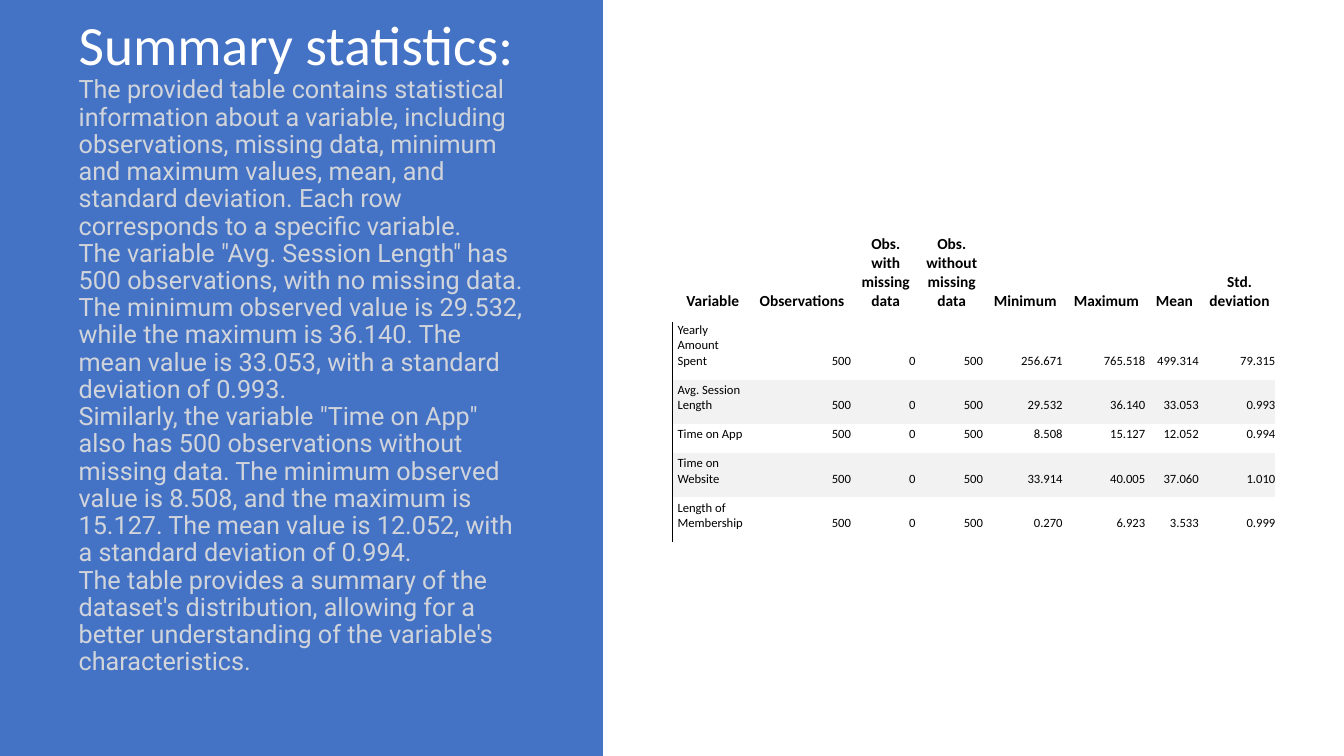
from dataclasses import dataclass
from lxml.etree import SubElement
from pptx import Presentation
from pptx.dml.color import RGBColor as RGB
from pptx.enum.shapes import MSO_SHAPE as SHAPE
from pptx.enum.text import MSO_ANCHOR as ANCHOR, MSO_AUTO_SIZE as AUTO, PP_ALIGN as ALIGN
from pptx.oxml.ns import qn
from pptx.util import Inches, Pt


@dataclass(frozen=True)
class Theme:
    blue: RGB = RGB(0x44, 0x72, 0xC4)
    white: RGB = RGB(0xFF, 0xFF, 0xFF)
    pale: RGB = RGB(0xD1, 0xD5, 0xDB)
    black: RGB = RGB(0, 0, 0)
    band: RGB = RGB(0xF2, 0xF2, 0xF2)
    heading: float = 39.6
    body: float = 18
    header: float = 11
    cell: float = 9
    main: str = "Calibri"
    prose: str = "Roboto"


theme = Theme()


def add_text(paragraph, text, size, font, color, bold=False):
    run = paragraph.add_run()
    run.text = text
    run.font.size = Pt(size)
    run.font.name = font
    run.font.color.rgb = color
    run.font.bold = bold


deck = Presentation()
deck.slide_width, deck.slide_height = Inches(13.33), Inches(7.5)
slide = deck.slides.add_slide(deck.slide_layouts[5])

summary = slide.shapes.title
panel = slide.shapes.add_shape(SHAPE.RECTANGLE, 0, 0, Inches(5.98), Inches(7.5))
panel.shadow.inherit = False
panel.fill.solid()
panel.fill.fore_color.rgb = theme.blue
panel.line.fill.background()
summary._element.addprevious(panel._element)

summary.left, summary.top = Inches(0.68), Inches(0.7)
summary.width, summary.height = Inches(4.62), Inches(6.1)
frame = summary.text_frame
frame.word_wrap = True
frame.auto_size = AUTO.NONE
frame.vertical_anchor = ANCHOR.MIDDLE
frame.margin_bottom = Inches(0.67)
story = frame.paragraphs[0]
story.alignment = ALIGN.LEFT
story.line_spacing = 0.9
add_text(story, "Summary statistics: ", theme.heading, theme.main, theme.white)

passages = [
    "The provided table contains statistical information about a variable, including observations, "
    "missing data, minimum and maximum values, mean, and standard deviation. "
    "Each row corresponds to a specific variable.",
    'The variable "Avg. Session Length" has 500 observations, with no missing data. '
    "The minimum observed value is 29.532, while the maximum is 36.140. "
    "The mean value is 33.053, with a standard deviation of 0.993.",
    'Similarly, the variable "Time on App" also has 500 observations without missing data. '
    "The minimum observed value is 8.508, and the maximum is 15.127. "
    "The mean value is 12.052, with a standard deviation of 0.994.",
    "The table provides a summary of the dataset's distribution, allowing for a better "
    "understanding of the variable's characteristics.",
]
for index, passage in enumerate(passages):
    if index:
        story.add_line_break()
    add_text(story, passage, theme.body, theme.prose, theme.pale)

statistics = [
    ("Variable", "Observations", "Obs. with missing data", "Obs. without missing data",
     "Minimum", "Maximum", "Mean", "Std. deviation"),
    ("Yearly Amount Spent", "500", "0", "500", "256.671", "765.518", "499.314", "79.315"),
    ("Avg. Session Length", "500", "0", "500", "29.532", "36.140", "33.053", "0.993"),
    ("Time on App", "500", "0", "500", "8.508", "15.127", "12.052", "0.994"),
    ("Time on Website", "500", "0", "500", "33.914", "40.005", "37.060", "1.010"),
    ("Length of Membership", "500", "0", "500", "0.270", "6.923", "3.533", "0.999"),
]
widths = [0.75, 1.02, 0.64, 0.67, 0.79, 0.82, 0.53, 0.76]
heights = [0.92, 0.44, 0.44, 0.29, 0.44, 0.44]
table = slide.shapes.add_table(
    len(heights), len(widths), Inches(6.67), Inches(2.27), Inches(5.97), Inches(3.1)
).table
table.first_row = table.horz_banding = False
table._tbl.tblPr.find(qn("a:tableStyleId")).text = "{2D5ABB26-0587-4C30-8999-92F81FD0307C}"
for column, width in zip(table.columns, widths):
    column.width = Inches(width)
for row, height in zip(table.rows, heights):
    row.height = Inches(height)

for r, values in enumerate(statistics):
    for c, value in enumerate(values):
        cell = table.cell(r, c)
        cell.vertical_anchor = ANCHOR.BOTTOM
        cell.margin_left, cell.margin_top = Inches(0.05), Inches(0.01)
        cell.margin_right, cell.margin_bottom = 0, Inches(0.11)
        if r and r % 2 == 0:
            cell.fill.solid()
            cell.fill.fore_color.rgb = theme.band
        else:
            cell.fill.background()
        entry = cell.text_frame.paragraphs[0]
        if r == 0:
            entry.alignment = ALIGN.CENTER
        else:
            entry.alignment = ALIGN.RIGHT if c else ALIGN.LEFT
        size = theme.cell if r else theme.header
        add_text(entry, value, size, theme.main, theme.black, bold=r == 0)
        if r and c == 0:
            properties = cell._tc.get_or_add_tcPr()
            edge = SubElement(properties, qn("a:lnL"), w=str(Pt(0.75)))
            ink = SubElement(edge, qn("a:solidFill"))
            SubElement(ink, qn("a:srgbClr"), val=str(theme.black))
            properties.insert(0, edge)

deck.save("out.pptx")
